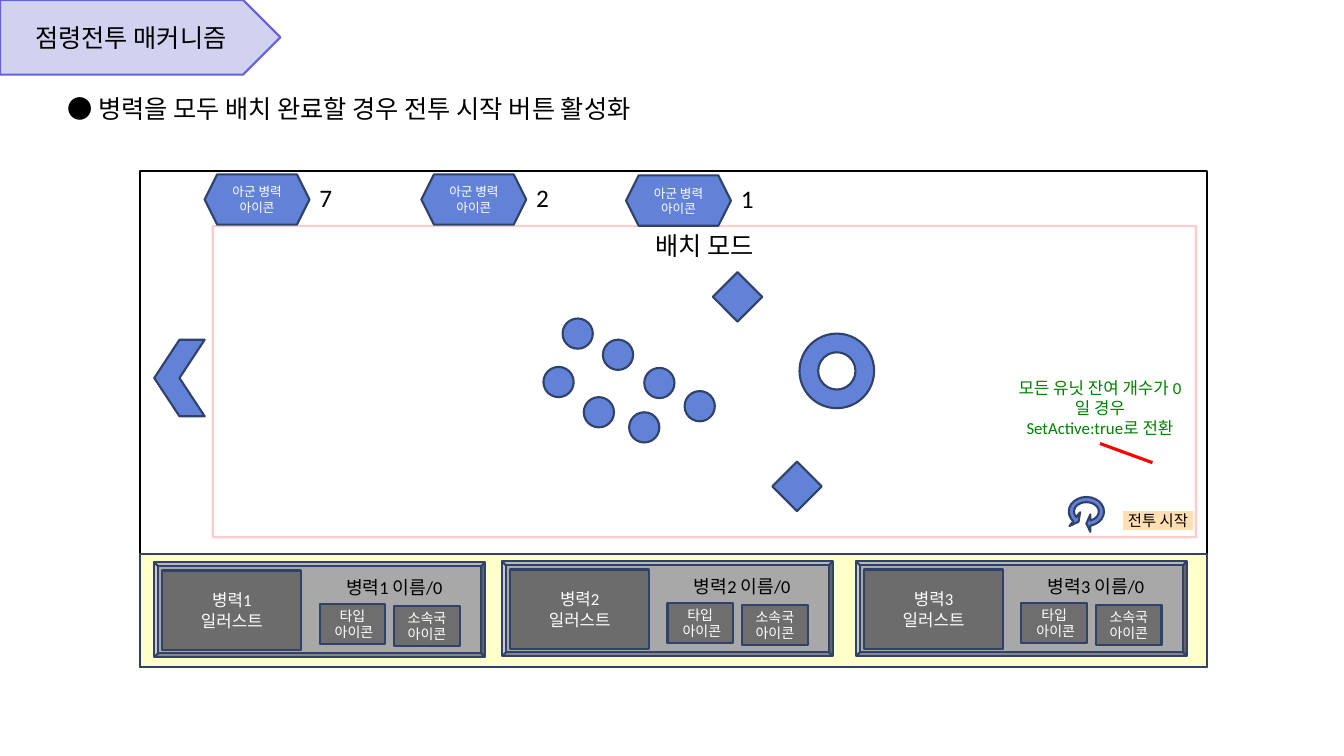
from lxml import etree
from pptx import Presentation
from pptx.dml.color import RGBColor
from pptx.enum.shapes import MSO_CONNECTOR, MSO_SHAPE
from pptx.enum.text import MSO_ANCHOR, MSO_AUTO_SIZE, PP_ALIGN
from pptx.oxml.ns import qn
from pptx.util import Inches, Pt

RECTANGLE = MSO_SHAPE.RECTANGLE
HEXAGON = MSO_SHAPE.HEXAGON
OVAL = MSO_SHAPE.OVAL
DIAMOND = MSO_SHAPE.DIAMOND
LEFT, CENTER = PP_ALIGN.LEFT, PP_ALIGN.CENTER
MIDDLE = MSO_ANCHOR.MIDDLE
FIT_TEXT = MSO_AUTO_SIZE.SHAPE_TO_FIT_TEXT
STRAIGHT = MSO_CONNECTOR.STRAIGHT

BLACK = RGBColor(0x00, 0x00, 0x00)
WHITE = RGBColor(0xFF, 0xFF, 0xFF)
RED = RGBColor(0xFF, 0x00, 0x00)
GREEN = RGBColor(0x00, 0x80, 0x00)
NAVY = RGBColor(0x30, 0x41, 0x6A)
BLUE = RGBColor(0x61, 0x82, 0xD6)
LILAC = RGBColor(0xD1, 0xD1, 0xF0)
VIOLET = RGBColor(0x66, 0x60, 0xDA)
CREAM = RGBColor(0xFE, 0xFF, 0xC9)
PEACH = RGBColor(0xFF, 0xDF, 0xB3)
CARD_GRAY = RGBColor(0xA8, 0xA8, 0xA8)
PORTRAIT_GRAY = RGBColor(0x6C, 0x6C, 0x6C)
ICON_GRAY = RGBColor(0x6E, 0x6E, 0x6E)

FONT = "Calibri"
TROOPS = [(2.03, 1.73, "7"), (4.18, 1.73, "2"), (6.21, 1.74, "1")]
SOLDIERS = [(5.58, 3.16), (5.98, 3.37), (6.39, 3.65), (6.79, 3.88),
            (6.24, 4.09), (5.79, 3.94), (5.39, 3.64)]
SCOUTS = [(7.66, 4.58), (7.07, 2.7)]
CARDS = [(1.53, 5.58), (4.98, 5.57), (8.49, 5.57)]


def write_text(shape, text, size, color=BLACK, align=CENTER):
    frame = shape.text_frame
    frame.word_wrap = True
    frame.text = text
    for paragraph in frame.paragraphs:
        paragraph.alignment = align
        paragraph.font.name = FONT
        paragraph.font.size = Pt(size)
        paragraph.font.color.rgb = color
    return frame


def add_label(slide, box, text, size, **text_format):
    label = slide.shapes.add_textbox(*map(Inches, box))
    frame = write_text(label, text, size, **text_format)
    frame.auto_size = FIT_TEXT
    return label


def add_box(slide, kind, box, fill=BLUE, line=NAVY, adjustments=(),
            text=None, size=10, color=WHITE):
    shape = slide.shapes.add_shape(kind, *map(Inches, box))
    shape.shadow.inherit = False
    if fill is None:
        shape.fill.background()
    else:
        shape.fill.solid()
        shape.fill.fore_color.rgb = fill
    if line is None:
        shape.line.fill.background()
    else:
        shape.line.color.rgb = line
        shape.line.width = Pt(1.5)
    for index, value in enumerate(adjustments):
        shape.adjustments[index] = value
    if text:
        write_text(shape, text, size, color=color).vertical_anchor = MIDDLE
    return shape


def add_heading(slide, left, top):
    add_box(slide, MSO_SHAPE.PENTAGON, (left, top, 2.78, 0.74), fill=LILAC,
            line=VIOLET, text="점령전투 매커니즘", size=18, color=BLACK)
    add_label(slide, (left + 0.57, top + 0.88, 11.82, 0.4),
              "● 병력을 모두 배치 완료할 경우 전투 시작 버튼 활성화", 18, align=LEFT)


def add_screen(slide, left, top, width, height, bar_height):
    add_box(slide, RECTANGLE, (left, top, width, height), fill=None, line=BLACK)
    add_box(slide, RECTANGLE,
            (left, top + height - bar_height, width, bar_height), fill=CREAM)
    chevron = add_box(slide, MSO_SHAPE.CHEVRON,
                      (left + 0.14, top + 1.67, 0.5, 0.76))
    chevron.rotation = 180


def add_deployment_zone(slide, left, top, width, height):
    zone = add_box(slide, RECTANGLE, (left, top, width, height),
                   fill=None, line=RED)
    tint = zone.line.fill.fore_color and zone.line._ln.find(
        ".//" + qn("a:srgbClr"))
    etree.SubElement(tint, qn("a:alpha")).set("val", "20000")
    add_label(slide, (left + 3.58, top, 2.6, 0.4), "배치 모드", 18)
    for x, y in SOLDIERS:
        add_box(slide, OVAL, (x, y, 0.3, 0.3))
    for x, y in SCOUTS:
        add_box(slide, DIAMOND, (x, y, 0.49, 0.49))
    add_box(slide, MSO_SHAPE.DONUT, (left + 5.82, top + 1.07, 0.74, 0.74))


def add_troop_counter(slide, left, top, count):
    add_box(slide, HEXAGON, (left, top, 1.04, 0.5),
            text="아군 병력 아이콘", size=9)
    add_label(slide, (left + 1.04, top + 0.03, 1.02, 0.4), count, 18,
              align=LEFT)


def add_troop_card(slide, left, top, number):
    add_box(slide, MSO_SHAPE.BEVEL, (left, top, 3.28, 0.94), fill=CARD_GRAY,
            adjustments=[0.042])
    add_box(slide, RECTANGLE, (left + 0.08, top + 0.08, 1.38, 0.79),
            fill=PORTRAIT_GRAY, text=f"병력{number}\n일러스트", size=12)
    add_label(slide, (left + 1.37, top + 0.09, 2.02, 0.31),
              f"병력{number} 이름/0", 13)
    add_box(slide, RECTANGLE, (left + 1.64, top + 0.41, 0.65, 0.4),
            fill=ICON_GRAY, text="타입\n 아이콘")
    add_box(slide, RECTANGLE, (left + 2.38, top + 0.43, 0.65, 0.4),
            fill=ICON_GRAY, text="소속국\n아이콘")


def add_start_control(slide, left, top):
    add_label(slide, (left, top, 1.94, 0.7),
              "모든 유닛 잔여 개수가 0일 경우\nSetActive:true로 전환", 12, color=GREEN)
    pointer = slide.shapes.add_connector(
        STRAIGHT, *map(Inches, (left + 1.49, top + 0.89,
                                left + 0.97, top + 0.7)))
    pointer.line.color.rgb = RED
    pointer.line.width = Pt(2.25)
    etree.SubElement(pointer._element.spPr, qn("a:effectLst"))
    arrow = add_box(slide, MSO_SHAPE.LEFT_RIGHT_CIRCULAR_ARROW,
                    (left + 0.63, top + 1.14, 0.41, 0.47),
                    adjustments=[0.125, 11.423, 204.577, 33.983, 0.21])
    arrow.rotation = 90
    button = add_box(slide, RECTANGLE, (left + 1.2, top + 1.37, 0.69, 0.19),
                     fill=PEACH, line=None, text="전투 시작", size=11,
                     color=BLACK)
    frame = button.text_frame
    frame.margin_left = frame.margin_right = 0
    frame.margin_top = frame.margin_bottom = 0
    frame.word_wrap = False


def main():
    presentation = Presentation()
    presentation.slide_width = Inches(13.33)
    presentation.slide_height = Inches(7.5)
    slide = presentation.slides.add_slide(presentation.slide_layouts[6])
    add_heading(slide, 0, 0)
    add_screen(slide, 1.39, 1.7, 10.58, 4.92, 1.12)
    add_deployment_zone(slide, 2.11, 2.24, 9.75, 3.09)
    for left, top, count in TROOPS:
        add_troop_counter(slide, left, top, count)
    for number, (left, top) in enumerate(CARDS, start=1):
        add_troop_card(slide, left, top, number)
    add_start_control(slide, 9.94, 3.7)
    presentation.save("out.pptx")


if __name__ == "__main__":
    main()
